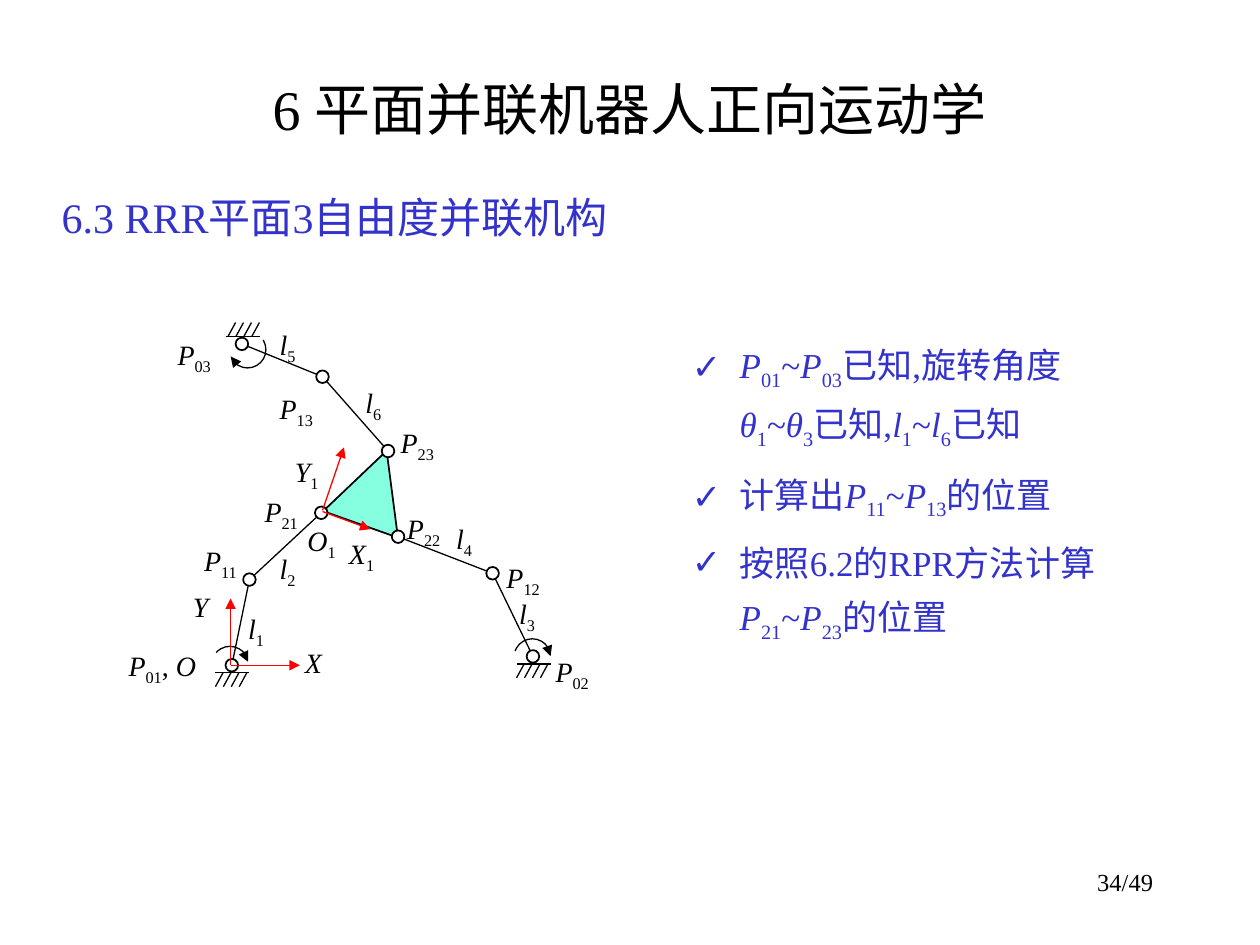
from math import hypot
from pptx import Presentation
from pptx.dml.color import RGBColor
from pptx.enum.shapes import MSO_CONNECTOR, MSO_SHAPE
from pptx.enum.text import MSO_ANCHOR, MSO_AUTO_SIZE, PP_ALIGN
from pptx.oxml.ns import qn
from pptx.util import Inches, Pt
from lxml.etree import SubElement

BLACK = RGBColor(0x00, 0x00, 0x00)
WHITE = RGBColor(0xFF, 0xFF, 0xFF)
BLUE = RGBColor(0x33, 0x33, 0xCC)
RED = RGBColor(0xFF, 0x00, 0x00)
MINT = RGBColor(0x85, 0xFF, 0xE0)
FONT = "Times New Roman"

# Joint centres, relative to the figure's corner
JOINTS = {
    "P01": (0.84, 2.78), "P11": (0.98, 2.1), "P21": (1.55, 1.57),
    "P02": (3.23, 2.71), "P12": (2.91, 2.05), "P22": (2.16, 1.76),
    "P03": (0.92, 0.23), "P13": (1.56, 0.49), "P23": (2.08, 1.08),
}
# Base joint: hatching above it, arc corner, arc start and end in degrees
BASES = {
    "P01": (False, 0.68, 2.63, 221, 351),
    "P02": (False, 3.08, 2.57, 199, 357),
    "P03": (True, 0.82, 0.13, 328, 158),
}
AXES = [
    (0.83, 2.78, 1.38, 2.78), (0.83, 2.78, 0.83, 2.25),
    (1.56, 1.56, 1.94, 1.7), (1.56, 1.55, 1.73, 1.05),
]
# Markup: parts split by |, "/" starts italic and "_" subscript
LABELS = [
    ("/l|_1", 0.93, 2.24), ("/l|_2", 1.18, 1.76), ("/l|_3", 3.08, 2.12),
    ("/l|_4", 2.58, 1.52), ("/l|_5", 1.18, -0.02), ("/l|_6", 1.86, 0.44),
    ("/P|_01|, |/O", -0.02, 2.53), ("/P|_02", 3.37, 2.58),
    ("/P|_03", 0.37, 0.06), ("/P|_11", 0.58, 1.7), ("/P|_12", 2.98, 1.83),
    ("/P|_13", 1.18, 0.49), ("/P|_21", 1.06, 1.31), ("/P|_22", 2.19, 1.44),
    ("/P|_23", 2.14, 0.76), ("/X", 1.38, 2.52), ("/Y", 0.49, 2.07),
    ("/O|_1", 1.4, 1.54), ("/X|_1", 1.73, 1.64), ("/Y|_1", 1.3, 0.99),
]
STEPS = [
    "/P|_01|~|/P|_03|已知,旋转角度|/θ|_1|~|/θ|_3|已知,|/l|_1|~|/l|_6|已知".replace(",", ","),
    "计算出|/P|_11|~|/P|_13|的位置",
    "按照6.2的RPR方法计算|/P|_21|~|/P|_23|的位置",
]


def write(p, markup, size, color):
    for part in markup.split("|"):
        r = p.add_run()
        r.text = part.lstrip("/_")
        r.font.name, r.font.size = FONT, Pt(size)
        r.font.color.rgb = color
        r.font.italic = part.startswith("/")
        if part.startswith("_"):
            r.font._element.set("baseline", "-25000")


def add_text(shapes, box, markup, size, color, align=PP_ALIGN.LEFT):
    tf = shapes.add_textbox(*map(Inches, box)).text_frame
    tf.word_wrap = True
    tf.paragraphs[0].alignment = align
    write(tf.paragraphs[0], markup, size, color)
    return tf


def place(sp, box):
    sp.left, sp.top, sp.width, sp.height = map(Inches, box)


def add_arrowhead(sp):
    SubElement(sp.line._get_or_add_ln(), qn("a:tailEnd"), type="triangle")


def add_title(s, box):
    sp = s.shapes.title
    place(sp, box)
    sp.text_frame.vertical_anchor = MSO_ANCHOR.MIDDLE
    p = sp.text_frame.paragraphs[0]
    p.alignment = PP_ALIGN.CENTER
    write(p, "6 平面并联机器人正向运动学", 32, BLACK)


def add_steps(s, box):
    sp = s.placeholders[1]
    place(sp, box)
    tf = sp.text_frame
    tf.auto_size = MSO_AUTO_SIZE.NONE
    for i, markup in enumerate(STEPS):
        p = tf.add_paragraph() if i else tf.paragraphs[0]
        p.line_spacing, p.space_before, p.space_after = 1.25, Pt(0), Pt(6)
        p.alignment = PP_ALIGN.LEFT
        pPr = p._p.get_or_add_pPr()
        pPr.set("marL", str(Inches(0.38)))
        pPr.set("indent", str(-Inches(0.38)))
        SubElement(pPr, qn("a:buChar"), char="✓")
        write(p, markup, 20, BLUE)


def add_mechanism(s, left, top):
    shapes = s.shapes.add_group_shape().shapes

    def line(x1, y1, x2, y2, color=BLACK):
        c = shapes.add_connector(
            MSO_CONNECTOR.STRAIGHT, Inches(left + x1), Inches(top + y1),
            Inches(left + x2), Inches(top + y2))
        c.line.color.rgb, c.line.width = color, Pt(0.75)
        SubElement(c._element.spPr, qn("a:effectLst"))
        return c

    def outline(kind, x, y, w, h, fill=None, width=1):
        sp = shapes.add_shape(kind, Inches(left + x), Inches(top + y),
                              Inches(w), Inches(h))
        sp.shadow.inherit = False
        sp.line.color.rgb, sp.line.width = BLACK, Pt(width)
        if fill is None:
            sp.fill.background()
        else:
            sp.fill.solid()
            sp.fill.fore_color.rgb = fill
        return sp

    # Moving platform
    platform = outline(MSO_SHAPE.ISOSCELES_TRIANGLE, 1.65, 1.06, 0.63, 0.62, MINT)
    platform.rotation = 19.5

    # Links run between the rims of neighbouring joints
    for leg in "123":
        for inner, outer in (("P0", "P1"), ("P1", "P2")):
            (x1, y1), (x2, y2) = JOINTS[inner + leg], JOINTS[outer + leg]
            k = 0.05 / hypot(x2 - x1, y2 - y1)
            dx, dy = k * (x2 - x1), k * (y2 - y1)
            line(x1 + dx, y1 + dy, x2 - dx, y2 - dy)

    # Joints
    for name, (x, y) in JOINTS.items():
        outline(MSO_SHAPE.OVAL, x - 0.05, y - 0.05, 0.1, 0.1,
                None if name in BASES else WHITE)

    # Fixed bases with hatching and rotation arrows
    for name, (above, arc_x, arc_y, start, end) in BASES.items():
        x, y = JOINTS[name]
        side = -1 if above else 1
        x, y = x - 0.13, y + 0.06 * side
        line(x, y, x + 0.27, y)
        for i in range(4):
            foot = x + (0.02 if above else 0.06) + 0.063 * i
            line(foot, y, foot - 0.06 * side, y + 0.11 * side)
        arc = outline(MSO_SHAPE.ARC, arc_x, arc_y, 0.29, 0.29, width=0.75)
        arc.adjustments[0], arc.adjustments[1] = start * 0.6, end * 0.6
        add_arrowhead(arc)

    # Coordinate axes
    for axis in AXES:
        add_arrowhead(line(*axis, RED))

    # Labels
    for markup, x, y in LABELS:
        width = 0.79 if "," in markup else 0.53
        tf = add_text(shapes, (left + x, top + y, width, 0.42), markup, 16,
                      BLACK, PP_ALIGN.JUSTIFY)
        tf.margin_left = tf.margin_right = Inches(0.04)
        tf.margin_top = tf.margin_bottom = Inches(0.04)
        tf.paragraphs[0].line_spacing = 1.25


prs = Presentation()
prs.slide_width, prs.slide_height = Inches(10), Inches(7.5)
s = prs.slides.add_slide(prs.slide_layouts[1])
add_title(s, (0.75, 0.44, 8.5, 0.83))
add_text(s.shapes, (0.39, 1.47, 4.54, 0.5), "6.3 RRR平面3自由度并联机构", 24, BLUE)
add_steps(s, (5.39, 2.58, 3.7, 2.37))
add_mechanism(s, 1, 2.5)
add_text(s.shapes, (7.17, 6.83, 2.08, 0.5), "34/49", 14, BLACK, PP_ALIGN.RIGHT)
prs.save("out.pptx")
